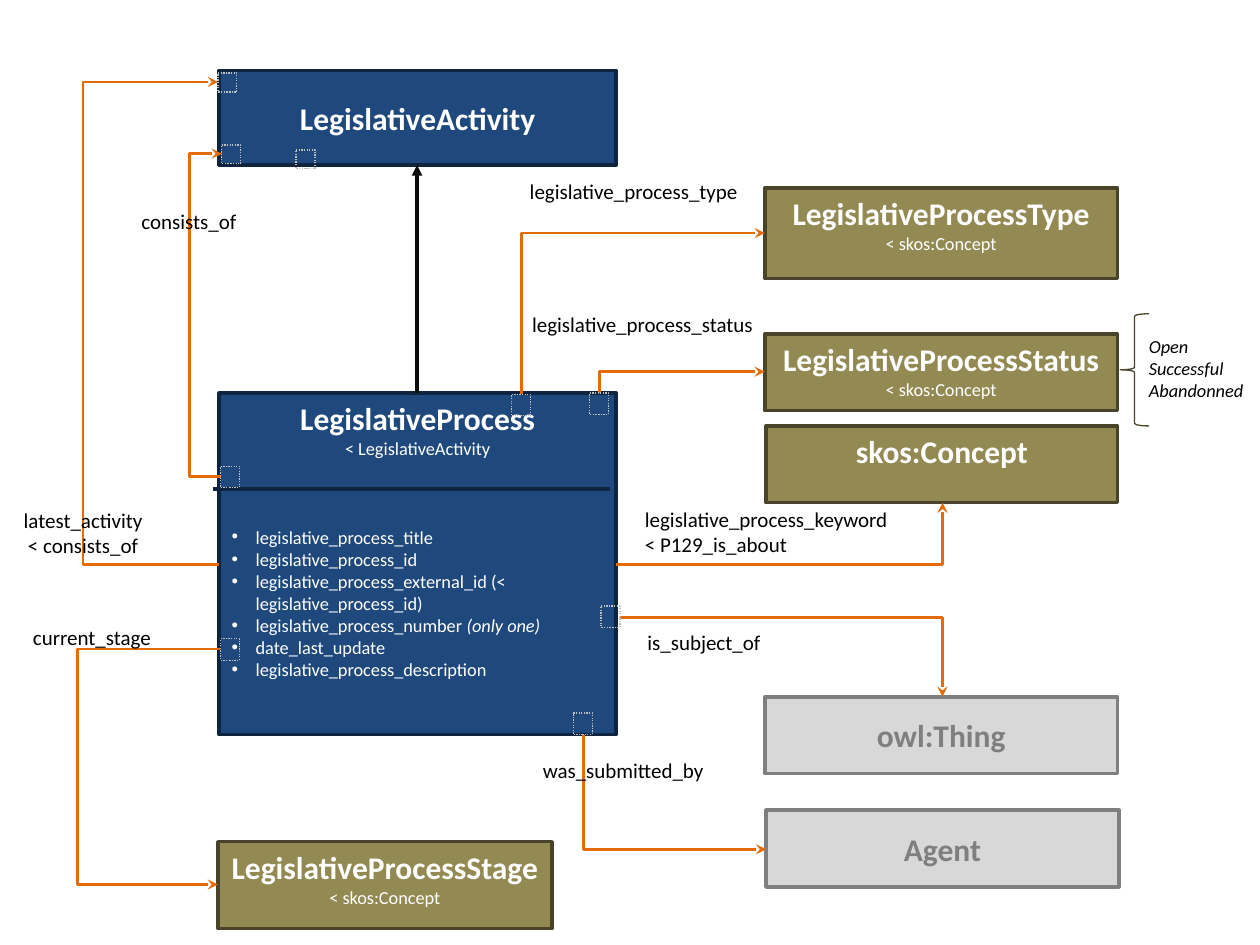
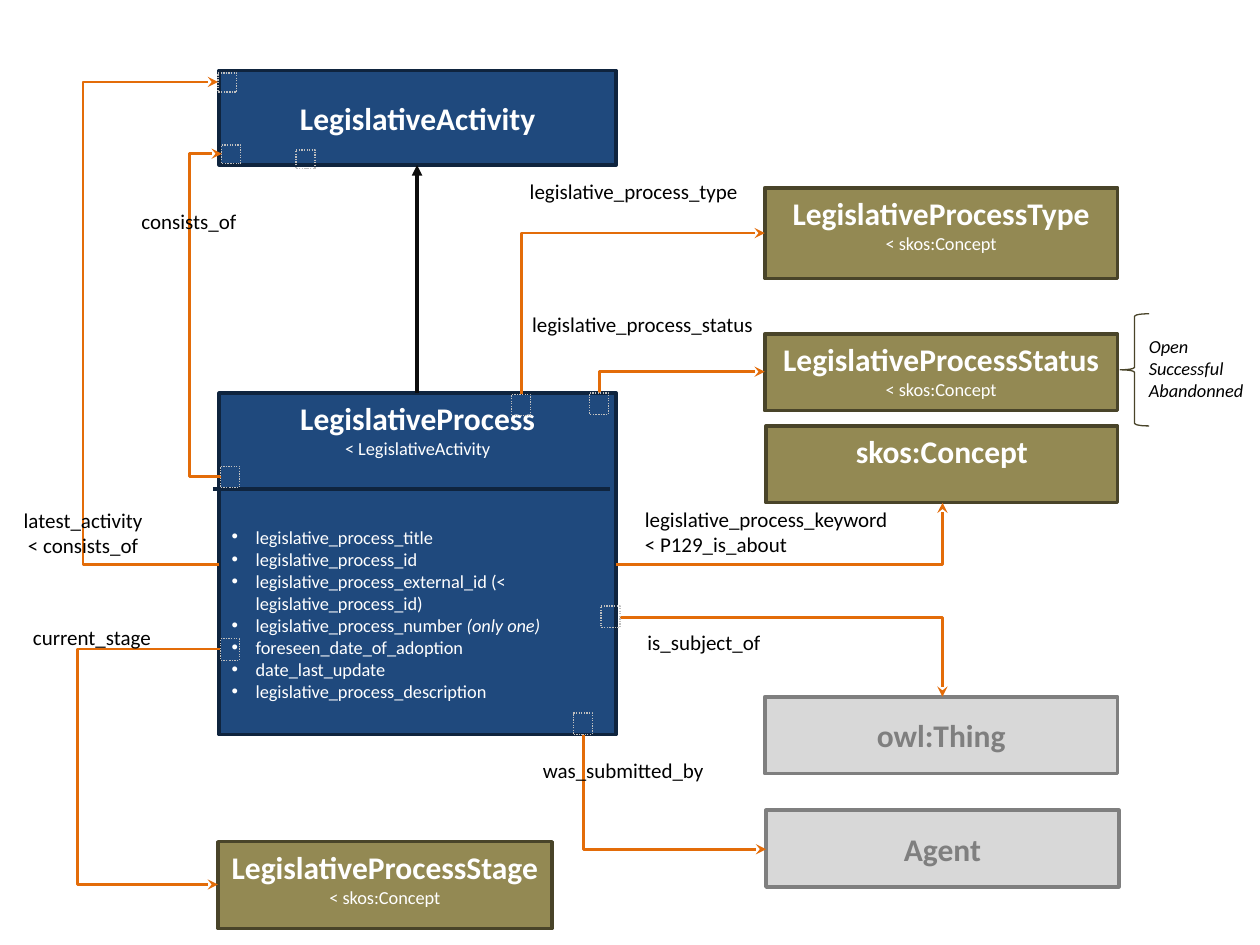
from lxml.etree import SubElement
from pptx import Presentation
from pptx.dml.color import RGBColor
from pptx.enum.dml import MSO_LINE
from pptx.enum.shapes import MSO_CONNECTOR, MSO_SHAPE
from pptx.enum.text import MSO_ANCHOR, PP_ALIGN
from pptx.oxml.ns import qn
from pptx.util import Inches, Pt

FONT = "Calibri"
WHITE = RGBColor(0xFF, 0xFF, 0xFF)
BLACK = RGBColor(0x00, 0x00, 0x00)
INK = RGBColor(0x0C, 0x0C, 0x0C)
NAVY = RGBColor(0x1F, 0x49, 0x7D)
DARK_NAVY = RGBColor(0x0F, 0x24, 0x3E)
OLIVE = RGBColor(0x93, 0x89, 0x53)
DARK_OLIVE = RGBColor(0x49, 0x44, 0x29)
PALE_GRAY = RGBColor(0xD8, 0xD8, 0xD8)
GRAY = RGBColor(0x7F, 0x7F, 0x7F)
DOT_GRAY = RGBColor(0xBF, 0xBF, 0xBF)
ORANGE = RGBColor(0xE3, 0x6C, 0x09)

# Fill, outline and text colour of each kind of class box
ACTIVITY = (NAVY, DARK_NAVY, WHITE)
CONCEPT = (OLIVE, DARK_OLIVE, WHITE)
EXTERNAL = (PALE_GRAY, GRAY, GRAY)

CLASS_BOXES = [
    ((6.07, 1.49, 2.8, 0.72), CONCEPT, "LegislativeProcessType", "< skos:Concept"),
    ((6.07, 2.65, 2.8, 0.61), CONCEPT, "LegislativeProcessStatus", "< skos:Concept"),
    ((6.08, 3.38, 2.79, 0.61), CONCEPT, "skos:Concept", None),
    ((1.73, 6.68, 2.65, 0.69), CONCEPT, "LegislativeProcessStage", "< skos:Concept"),
    ((6.07, 5.53, 2.8, 0.61), EXTERNAL, "owl:Thing", None),
    ((6.08, 6.43, 2.8, 0.61), EXTERNAL, "Agent", None),
]

# Start and end of relations that leave the box sideways or vertically
SIDEWAYS_RELATIONS = [((4.92, 4.9), (7.48, 5.53)), ((4.89, 4.48), (7.48, 3.99))]
VERTICAL_RELATIONS = [
    ((4.14, 3.13), (6.07, 1.85)),
    ((4.76, 3.12), (6.07, 2.95)),
    ((4.63, 5.83), (6.08, 6.74)),
]
# Start, end and the x of the detour on the left
DETOUR_RELATIONS = [
    ((1.75, 3.78), (1.76, 1.22), 1.5),
    ((1.74, 4.48), (1.73, 0.65), 0.64),
    ((1.75, 5.15), (1.73, 7.02), 0.62),
]

ACTIVITY_ANCHORS = [(1.73, 0.58), (2.35, 1.19), (1.76, 1.15)]
PROCESS_ANCHORS = [(1.75, 3.7), (4.06, 3.13), (4.68, 3.12), (4.77, 4.81),
                   (1.75, 5.07), (4.55, 5.66)]

RELATION_LABELS = [
    ((0.8, 1.61, 1.4, 0.3), PP_ALIGN.CENTER, ["consists_of"]),
    ((4.01, 1.37, 2.04, 0.3), PP_ALIGN.CENTER, ["legislative_process_type"]),
    ((4.05, 2.42, 2.1, 0.3), PP_ALIGN.CENTER, ["legislative_process_status"]),
    ((-0.04, 3.98, 1.4, 0.5), PP_ALIGN.CENTER, ["latest_activity", "< consists_of"]),
    ((-0.03, 4.91, 1.52, 0.3), PP_ALIGN.CENTER, ["current_stage"]),
    ((5.04, 4.95, 2.1, 0.3), PP_ALIGN.LEFT, ["is_subject_of"]),
    ((5.02, 3.97, 2.24, 0.5), PP_ALIGN.LEFT,
     ["legislative_process_keyword", "< P129_is_about"]),
    ((4.21, 5.96, 2.1, 0.3), PP_ALIGN.LEFT, ["was_submitted_by"]),
]

# Each attribute is its name and an italic remark
COMMON_ATTRIBUTES = [
    ("legislative_process_title", ""),
    ("legislative_process_id", ""),
    ("legislative_process_external_id (< legislative_process_id)", ""),
    ("legislative_process_number ", "(only one)"),
]
CLOSING_ATTRIBUTES = [("date_last_update", ""), ("legislative_process_description", "")]


def inches(values):
    return [Inches(value) for value in values]


def add_run(paragraph, text, size=12, color=BLACK, bold=False, italic=False):
    run = paragraph.add_run()
    run.text = text
    run.font.name = FONT
    run.font.size = Pt(size)
    run.font.bold = bold
    run.font.italic = italic
    run.font.color.rgb = color


def add_text(frame, text, align=PP_ALIGN.LEFT, **font):
    """Add a paragraph, using the first one while it is still empty."""
    first = frame.paragraphs[0]
    paragraph = frame.add_paragraph() if first.runs else first
    paragraph.alignment = align
    add_run(paragraph, text, **font)
    return paragraph


def add_bullet(paragraph):
    properties = paragraph._p.get_or_add_pPr()
    properties.set("marL", str(Inches(0.19)))
    properties.set("indent", str(-Inches(0.19)))
    color = SubElement(properties, qn("a:buClr"))
    SubElement(color, qn("a:srgbClr"), val=str(WHITE))
    SubElement(properties, qn("a:buFont"), typeface="Arial")
    SubElement(properties, qn("a:buChar"), char="•")


def add_preset(shapes, preset, box, fill, line_color, line_width):
    shape = shapes.add_shape(preset, *inches(box))
    shape.shadow.inherit = False
    if fill is None:
        shape.fill.background()
    else:
        shape.fill.solid()
        shape.fill.fore_color.rgb = fill
    shape.line.color.rgb = line_color
    shape.line.width = Pt(line_width)
    return shape


def add_class_box(shapes, box, style, name, parent=None, middle=False):
    fill, line_color, text_color = style
    shape = add_preset(shapes, MSO_SHAPE.RECTANGLE, box, fill, line_color, 2)
    frame = shape.text_frame
    frame.word_wrap = True
    frame.vertical_anchor = MSO_ANCHOR.MIDDLE if middle else MSO_ANCHOR.TOP
    add_text(frame, name, PP_ALIGN.CENTER, size=18, color=text_color, bold=True)
    if parent:
        add_text(frame, parent, PP_ALIGN.CENTER, size=10.5, color=text_color)
    return frame


def add_anchor(shapes, left, top, height):
    """Add the dotted square where a relation is attached."""
    shape = add_preset(shapes, MSO_SHAPE.RECTANGLE, (left, top, 0.15, height),
                       None, DOT_GRAY, 0.75)
    shape.line.dash_style = MSO_LINE.ROUND_DOT


def add_label(shapes, box, lines, **text_format):
    frame = shapes.add_textbox(*inches(box)).text_frame
    frame.word_wrap = True
    for line in lines:
        add_text(frame, line, **text_format)


def add_line(shapes, start, end, color, width, arrowhead=None,
             kind=MSO_CONNECTOR.STRAIGHT):
    connector = shapes.add_connector(kind, *inches(start + end))
    connector.line.color.rgb = color
    connector.line.width = Pt(width)
    if arrowhead:
        SubElement(connector.line._get_or_add_ln(), qn("a:tailEnd"), type=arrowhead)
    SubElement(connector._element.spPr, qn("a:effectLst"))
    return connector


def add_relation(shapes, start, end, vertical_first=False, detour=None):
    """Add a bent arrow: one corner, or two corners at x = detour."""
    (start_x, start_y), (end_x, end_y) = start, end
    width, height = abs(end_x - start_x), abs(end_y - start_y)
    upward, rightward = end_y < start_y, end_x > start_x
    if vertical_first:
        width, height = height, width
        rotation, flipped = 270, not upward
    else:
        rotation, flipped = (180 if upward else 0), rightward == upward
    left = (start_x + end_x - width) / 2
    top = (start_y + end_y - height) / 2
    connector = add_line(shapes, (left, top), (left + width, top + height),
                         ORANGE, 1.5, "stealth", MSO_CONNECTOR.ELBOW)
    properties = connector._element.spPr
    transform = properties.find(qn("a:xfrm"))
    transform.set("rot", str(rotation * 60000))
    transform.set("flipH", str(int(flipped)))
    geometry = properties.find(qn("a:prstGeom"))
    if detour is None:
        geometry.set("prst", "bentConnector2")
    else:
        share = round((detour - start_x) / (end_x - start_x) * 100000)
        SubElement(geometry.find(qn("a:avLst")), qn("a:gd"),
                   name="adj1", fmla=f"val {share}")


def add_process_box(shapes, attributes):
    frame = add_class_box(shapes, (1.74, 3.12, 3.15, 2.71), ACTIVITY,
                          "LegislativeProcess", "< LegislativeActivity")
    for index, (name, remark) in enumerate(attributes):
        paragraph = add_text(frame, name, size=10.5, color=WHITE)
        if index == 0:
            paragraph.space_before = Pt(38)
        add_bullet(paragraph)
        if remark:
            add_run(paragraph, remark, size=10.5, color=WHITE, italic=True)
    add_line(shapes, (1.69, 3.88), (4.84, 3.88), DARK_NAVY, 2)


def add_activity_group(shapes):
    group = shapes.add_group_shape()
    add_class_box(group.shapes, (1.74, 0.56, 3.15, 0.75), ACTIVITY,
                  "LegislativeActivity", middle=True)
    for left, top in ACTIVITY_ANCHORS:
        add_anchor(group.shapes, left, top, 0.15)


def add_status_values(shapes):
    brace = add_preset(shapes, MSO_SHAPE.LEFT_BRACE, (8.89, 2.49, 0.23, 0.89),
                       None, DARK_OLIVE, 0.75)
    brace.adjustments[0] = 0.083
    add_label(shapes, (9.02, 2.61, 2.1, 0.63), ["Open", "Successful", "Abandonned"],
              size=10.5, italic=True)


def add_process_diagram(presentation, attributes):
    shapes = presentation.slides.add_slide(presentation.slide_layouts[6]).shapes
    add_process_box(shapes, attributes)
    add_activity_group(shapes)
    for box, style, name, parent in CLASS_BOXES:
        add_class_box(shapes, box, style, name, parent, middle=style is EXTERNAL)
    add_line(shapes, (3.31, 3.12), (3.31, 1.31), INK, 2, "triangle")
    for start, end in SIDEWAYS_RELATIONS:
        add_relation(shapes, start, end)
    for start, end in VERTICAL_RELATIONS:
        add_relation(shapes, start, end, vertical_first=True)
    for start, end, detour in DETOUR_RELATIONS:
        add_relation(shapes, start, end, detour=detour)
    for left, top in PROCESS_ANCHORS:
        add_anchor(shapes, left, top, 0.17)
    for box, align, lines in RELATION_LABELS:
        add_label(shapes, box, lines, align=align)
    add_status_values(shapes)


def main():
    presentation = Presentation()
    presentation.slide_width = Inches(10)
    presentation.slide_height = Inches(7.5)
    adoption = [("foreseen_date_of_adoption", "")]
    for extra_attributes in ([], adoption):
        add_process_diagram(presentation,
                            COMMON_ATTRIBUTES + extra_attributes + CLOSING_ATTRIBUTES)
    presentation.save("out.pptx")


if __name__ == "__main__":
    main()
